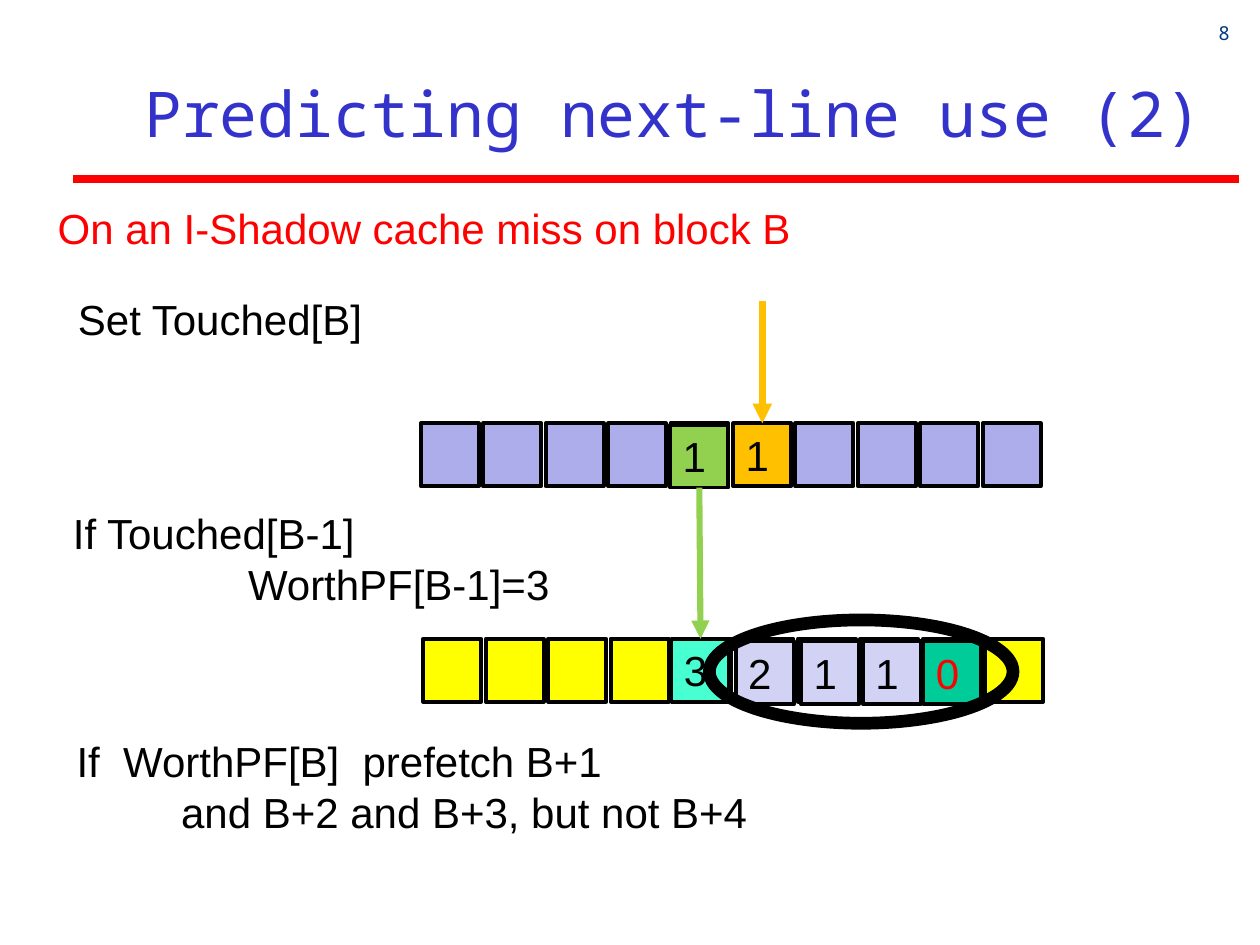
from pptx import Presentation, util as u
from pptx.dml.color import RGBColor
from pptx.enum import shapes as s, text as t
from pptx.oxml.ns import qn
from lxml import etree

SCALE = 9144  # EMU per px, 100 px to the inch
HEX = {
    "title": "3333CC", "page": "003980", "red": "FF0000", "black": "000000",
    "yellow": "FFFF00", "violet": "ADADEB", "pale": "D2D2F4",
    "orange": "FFC000", "green": "92D050", "aqua": "47FFD1", "teal": "00CC99",
}
SANS, MONO = "Arial", "Noto Sans Mono"
CELL_W, CELL_H, CELLS, ROW_W = 46, 50, 10, 492


def px(*vals):
    return [u.Emu(round(v * SCALE)) for v in vals]


def rgb(name):
    return RGBColor.from_string(HEX[name])


def style(par, size, color, face=SANS):
    par.font.size = u.Pt(size)
    par.font.name = face
    par.font.color.rgb = rgb(color)


def label(slide, box, lines, size=24, color="black", face=SANS, wrap=False):
    """Add a text box; each line is a pair of wording and left margin in px."""
    frame = slide.shapes.add_textbox(*px(*box)).text_frame
    frame.word_wrap = wrap
    for i, (words, left) in enumerate(lines):
        par = frame.add_paragraph() if i else frame.paragraphs[0]
        par.text = words
        style(par, size, color, face)
        if left:
            par._p.get_or_add_pPr().set("marL", str(px(left)[0]))
    return frame


def line(slide, start, end, color, width, arrow=False):
    link = slide.shapes.add_connector(
        s.MSO_CONNECTOR.STRAIGHT, *px(*start, *end))
    link.line.color.rgb = rgb(color)
    link.line.width = u.Pt(width)
    if arrow:
        tail = etree.SubElement(link.line._get_or_add_ln(), qn("a:tailEnd"))
        tail.set("type", "triangle")
    etree.SubElement(link._element.spPr, qn("a:effectLst"))
    return link


def cell(slide, x, y, fill, digit="", color="black"):
    box = slide.shapes.add_shape(
        s.MSO_SHAPE.RECTANGLE, *px(x, y, CELL_W, CELL_H))
    box.shadow.inherit = False
    box.fill.solid()
    box.fill.fore_color.rgb = rgb(fill)
    box.line.color.rgb = rgb("black")
    box.line.width = u.Pt(2.25)
    if digit:
        box.text_frame.vertical_anchor = t.MSO_ANCHOR.TOP
        par = box.text_frame.paragraphs[0]
        par.text = digit
        par.alignment = t.PP_ALIGN.LEFT
        style(par, 24, color)
    return box


def row(slide, x, y, fill, skip=()):
    step = (ROW_W - CELL_W) / (CELLS - 1)
    for i in range(CELLS):
        if i not in skip:
            cell(slide, x + i * step, y, fill)


def header(slide, x, y):
    page = label(slide, (x + 909, y + 17, 20, 25), [("8", 0)], 11, "page", MONO)
    page.margin_left = page.margin_right = 0
    page.margin_top = page.margin_bottom = 0
    line(slide, (x, y + 142), (x + 925, y + 142), "red", 4.5)
    head = label(slide, (x + 23, y - 1, 907, 125),
                 [("Predicting next-line use (2)", 0)], 36, "title", MONO, True)
    head.vertical_anchor = t.MSO_ANCHOR.BOTTOM
    head.paragraphs[0].alignment = t.PP_ALIGN.CENTER
    head.paragraphs[0].line_spacing = 1.12


def touch(slide, x, y):
    """Mark block B as touched."""
    label(slide, (x, y, 248, 50), [("Set Touched[B]", 0)])
    mark = cell(slide, x + 530, y + 108, "orange", "1")
    arrow = line(slide, (x + 553, y + 11), (x + 553, y + 108),
                 "orange", 3.75, True)
    arrow.end_connect(mark, 0)


def worth(slide, x, y):
    """Raise the worth of block B-1 when it was touched."""
    label(slide, (x, y, 401, 91),
          [("If Touched[B-1]", 0), ("WorthPF[B-1]=3", 139)])
    prior = cell(slide, x + 484, y - 61, "green", "1")
    count = cell(slide, x + 485, y + 109, "aqua", "3")
    arrow = line(slide, (x + 507, y - 11), (x + 508, y + 109),
                 "green", 3.5, True)
    arrow.begin_connect(prior, 2)
    arrow.end_connect(count, 0)


def fetch(slide, x, y):
    """Show which blocks after B are worth fetching."""
    label(slide, (x, y, 613, 91),
          [("If  WorthPF[B]  prefetch B+1", 0),
           ("and B+2 and B+3, but not B+4", 83)])
    for dx, fill, digit, color in (
            (682, "teal", "0", "red"), (634, "pale", "1", "black"),
            (585, "pale", "1", "black"), (533, "pale", "2", "black")):
        cell(slide, x + dx, y - 70, fill, digit, color)
    ring = slide.shapes.add_shape(
        s.MSO_SHAPE.OVAL, *px(x + 512, y - 87, 241, 82))
    ring.shadow.inherit = False
    ring.fill.background()
    ring.line.color.rgb = rgb("black")
    ring.line.width = u.Pt(7.25)


def main():
    deck = Presentation()
    deck.slide_width, deck.slide_height = px(1000, 750)
    slide = deck.slides.add_slide(deck.slide_layouts[6])
    header(slide, 58, 0)
    label(slide, (36, 156, 617, 50),
          [("On an I-Shadow cache miss on block B", 0)], color="red")
    row(slide, 336, 507, "yellow")
    row(slide, 334, 336, "violet", skip=(5,))
    touch(slide, 52, 228)
    worth(slide, 48, 398)
    fetch(slide, 51, 579)
    deck.save("out.pptx")


if __name__ == "__main__":
    main()
